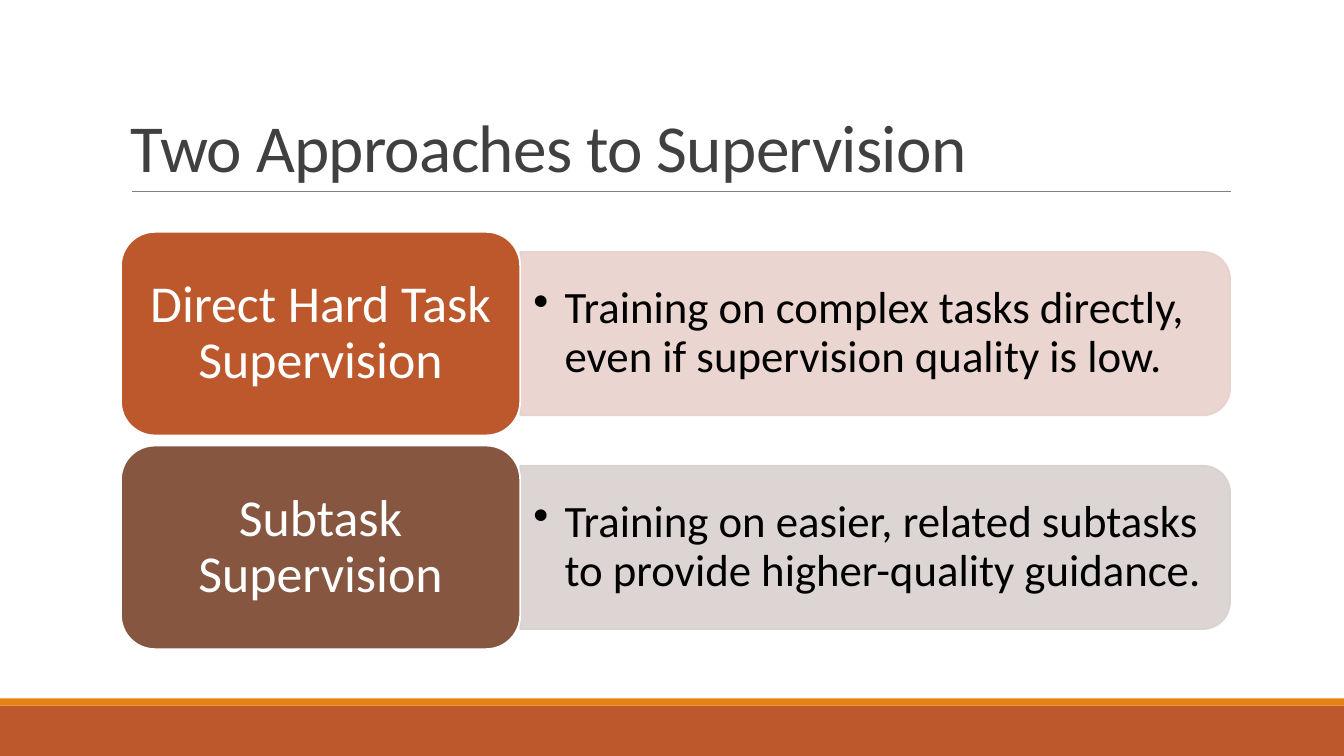
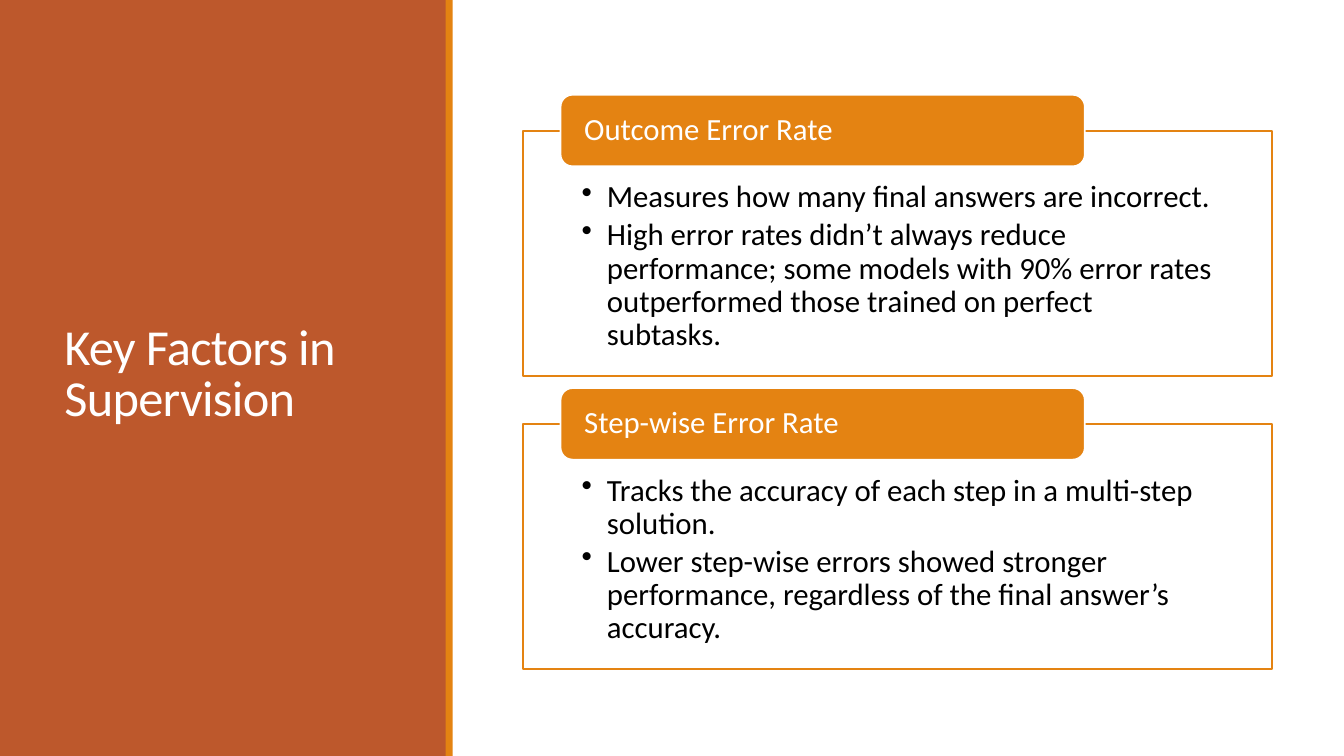
from dataclasses import dataclass

from pptx import Presentation
from pptx.dml.color import RGBColor
from pptx.enum.shapes import MSO_CONNECTOR, MSO_SHAPE
from pptx.enum.text import MSO_ANCHOR, PP_ALIGN
from pptx.oxml.ns import qn
from pptx.oxml.xmlchemy import OxmlElement
from pptx.shapes.autoshape import Shape
from pptx.slide import Slide
from pptx.util import Inches, Pt

RECT = MSO_SHAPE.RECTANGLE
ROUNDED = MSO_SHAPE.ROUNDED_RECTANGLE
ROUNDED_TOP = MSO_SHAPE.ROUND_2_SAME_RECTANGLE
STRAIGHT = MSO_CONNECTOR.STRAIGHT
TOP, MIDDLE, BOTTOM = MSO_ANCHOR.TOP, MSO_ANCHOR.MIDDLE, MSO_ANCHOR.BOTTOM
LEFT, CENTER = PP_ALIGN.LEFT, PP_ALIGN.CENTER

# Shared theme
FONT = "Calibri"
WHITE, BLACK, TITLE_GREY, RULE_GREY = "FFFFFF", "000000", "404040", "808080"
RUST, ORANGE, BROWN = "BD582C", "E48312", "865640"
PINK, TAUPE = "E8D1CD", "D9D1CF"
SLIDE_W, SLIDE_H = 13.33, 7.5
STRIPE = 0.07
OUTLINE = 1.25

Box = tuple[float, float, float, float]


@dataclass(frozen=True)
class TextStyle:
    size: float
    color: str
    anchor: MSO_ANCHOR = MIDDLE
    align: PP_ALIGN = LEFT
    insets: Box = (0.1, 0.05, 0.1, 0.05)  # left, top, right, bottom
    line_spacing: float = 0.9
    space_after: float = 0
    tracking: float = 0
    bullet_indent: float = 0


@dataclass(frozen=True)
class Approach:
    name: str
    description: str
    color: str
    tint: str


@dataclass(frozen=True)
class Factor:
    name: str
    points: tuple[str, ...]


APPROACH_NAME = TextStyle(37, WHITE, align=CENTER, insets=(0.15, 0.08, 0.15, 0.08))
APPROACH_TEXT = TextStyle(32, BLACK, insets=(0.13, 0.07, 0.13, 0.07), bullet_indent=0.31)
FACTOR_NAME = TextStyle(22, WHITE, insets=(0.2, 0, 0.2, 0))
FACTOR_TEXT = TextStyle(22, BLACK, TOP, insets=(0.58, 0.5, 0.58, 0.17),
                        space_after=3.3, bullet_indent=0.25)

APPROACHES = (
    Approach("Direct Hard Task Supervision",
             "Training on complex tasks directly, even if supervision quality is low.",
             RUST, PINK),
    Approach("Subtask Supervision",
             "Training on easier, related subtasks to provide higher-quality guidance.",
             BROWN, TAUPE),
)
FACTORS = (
    Factor("Outcome Error Rate",
           ("Measures how many final answers are incorrect.",
            "High error rates didn’t always reduce performance; some models with "
            "90% error rates outperformed those trained on perfect subtasks.")),
    Factor("Step-wise Error Rate",
           ("Tracks the accuracy of each step in a multi-step solution.",
            "Lower step-wise errors showed stronger performance, regardless of the "
            "final answer’s accuracy.")),
)


def rgb(color: str) -> RGBColor:
    return RGBColor.from_string(color)


def write_text(shape: Shape, paragraphs: tuple[str, ...], style: TextStyle) -> None:
    frame = shape.text_frame
    frame.word_wrap = True
    frame.vertical_anchor = style.anchor
    (frame.margin_left, frame.margin_top,
     frame.margin_right, frame.margin_bottom) = map(Inches, style.insets)
    for index, text in enumerate(paragraphs):
        paragraph = frame.add_paragraph() if index else frame.paragraphs[0]
        paragraph.alignment = style.align
        paragraph.line_spacing = style.line_spacing
        paragraph.space_after = Pt(style.space_after)
        if style.bullet_indent:
            properties = paragraph._p.get_or_add_pPr()
            indent = Inches(style.bullet_indent)
            properties.set("marL", str(indent))
            properties.set("indent", str(-indent))
            bullet = OxmlElement("a:buChar")
            bullet.set("char", "•")
            properties.append(bullet)
        run = paragraph.add_run()
        run.text = text
        run.font.name = FONT
        run.font.size = Pt(style.size)
        run.font.color.rgb = rgb(style.color)
        if style.tracking:
            run._r.get_or_add_rPr().set("spc", str(round(style.tracking * 100)))


def add_block(slide: Slide, kind: MSO_SHAPE, box: Box, fill: str, line: str = "") -> Shape:
    block = slide.shapes.add_shape(kind, *map(Inches, box))
    block.shadow.inherit = False
    block.fill.solid()
    block.fill.fore_color.rgb = rgb(fill)
    if line:
        block.line.color.rgb = rgb(line)
        block.line.width = Pt(OUTLINE)
    else:
        block.line.fill.background()
    return block


def add_text(slide: Slide, box: Box, text: str, style: TextStyle) -> None:
    write_text(slide.shapes.add_textbox(*map(Inches, box)), (text,), style)


def add_title(slide: Slide, box: Box, text: str, size: float, color: str,
              anchor: MSO_ANCHOR) -> None:
    add_text(slide, box, text,
             TextStyle(size, color, anchor, line_spacing=0.85, tracking=-0.5))


def set_opacity(shape: Shape, percent: int) -> None:
    for color in shape._element.spPr.iter(qn("a:srgbClr")):
        alpha = OxmlElement("a:alpha")
        alpha.set("val", str(percent * 1000))
        color.append(alpha)


def add_rule(slide: Slide, left: float, right: float, y: float) -> None:
    rule = slide.shapes.add_connector(STRAIGHT, Inches(left), Inches(y),
                                      Inches(right), Inches(y))
    rule.line.color.rgb = rgb(RULE_GREY)
    rule.line.width = Pt(0.5)
    rule._element.spPr.append(OxmlElement("a:effectLst"))


def add_approach(slide: Slide, top: float, approach: Approach) -> None:
    label_left, label_w, label_h = 1.2, 3.96, 2.02
    strip_w, strip_h = 7.04, 1.62
    strip_left = label_left + label_w
    center_y = top + label_h / 2
    # A quarter turn puts the two rounded corners on the right
    strip = add_block(slide, ROUNDED_TOP,
                      (strip_left + (strip_w - strip_h) / 2, center_y - strip_w / 2,
                       strip_h, strip_w), approach.tint, approach.tint)
    strip.rotation = 90
    set_opacity(strip, 90)
    text_h = 1.46
    add_text(slide, (strip_left, center_y - text_h / 2, 6.96, text_h),
             approach.description, APPROACH_TEXT)
    label = add_block(slide, ROUNDED, (label_left, top, label_w, label_h),
                      approach.color, WHITE)
    write_text(label, (approach.name,), APPROACH_NAME)


def add_factor(slide: Slide, top: float, factor: Factor) -> None:
    panel = add_block(slide, RECT, (5.19, top, 7.43, 2.43), WHITE, ORANGE)
    write_text(panel, factor.points, FACTOR_TEXT)
    tab = add_block(slide, ROUNDED, (5.56, top - 0.36, 5.2, 0.71), ORANGE, WHITE)
    write_text(tab, (factor.name,), FACTOR_NAME)


def build_approaches(slide: Slide) -> None:
    # Footer band
    add_block(slide, RECT, (0, 7, SLIDE_W, 0.5), RUST)
    add_block(slide, RECT, (0, 7 - STRIPE, SLIDE_W, STRIPE), ORANGE)
    # Title and rule
    add_rule(slide, 1.31, 12.21, 1.9)
    add_title(slide, (1.2, 0.31, 11, 1.59), "Two Approaches to Supervision",
              48, TITLE_GREY, BOTTOM)
    for row, approach in enumerate(APPROACHES):
        add_approach(slide, 2.3 + row * 2.12, approach)


def build_factors(slide: Slide) -> None:
    # Side band with title
    add_block(slide, RECT, (0, 0, 4.43, SLIDE_H), RUST)
    add_title(slide, (0.54, 0.57, 3.37, 6.31), "Key Factors in Supervision",
              36, WHITE, MIDDLE)
    add_block(slide, RECT, (4.42, 0, STRIPE, SLIDE_H), ORANGE)
    for row, factor in enumerate(FACTORS):
        add_factor(slide, 1.3 + row * 2.91, factor)


def main() -> None:
    deck = Presentation()
    deck.slide_width, deck.slide_height = Inches(SLIDE_W), Inches(SLIDE_H)
    blank = deck.slide_layouts[6]
    for build in (build_approaches, build_factors):
        build(deck.slides.add_slide(blank))
    deck.save("out.pptx")


if __name__ == "__main__":
    main()
